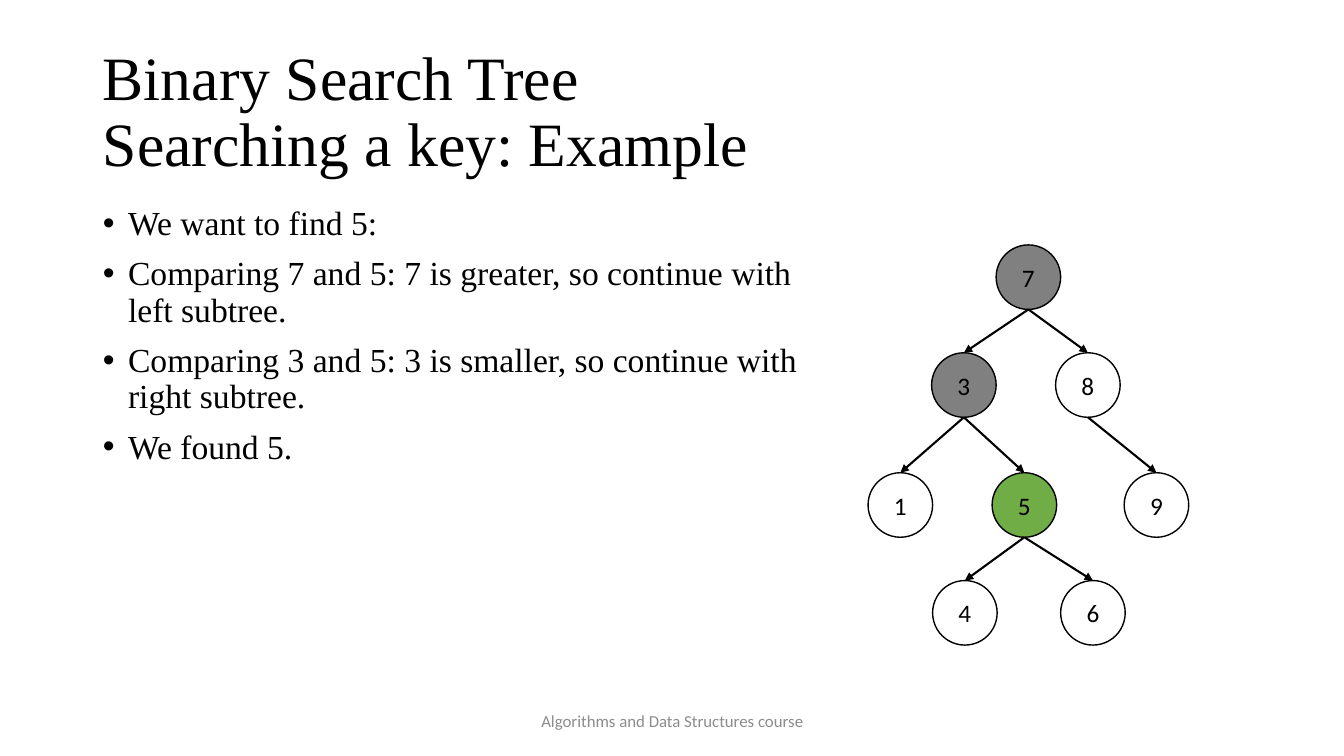
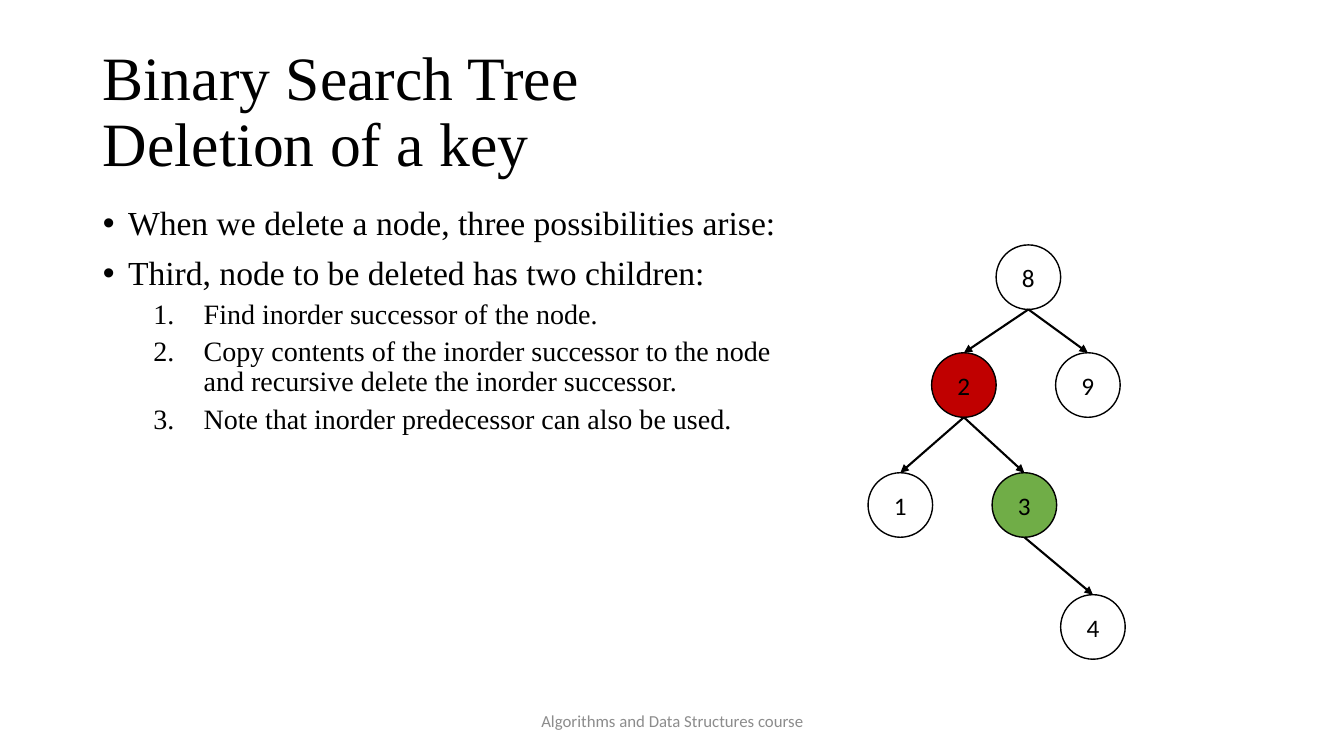
"""Build two slides on searching and deleting keys in a binary search tree."""
from dataclasses import dataclass

from lxml import etree
from pptx import Presentation
from pptx.dml.color import RGBColor
from pptx.enum.shapes import MSO_CONNECTOR, MSO_SHAPE
from pptx.enum.text import MSO_ANCHOR, MSO_AUTO_SIZE, PP_ALIGN
from pptx.oxml.ns import qn
from pptx.util import Inches, Pt

STRAIGHT = MSO_CONNECTOR.STRAIGHT
OVAL = MSO_SHAPE.OVAL
TOP, MIDDLE = MSO_ANCHOR.TOP, MSO_ANCHOR.MIDDLE
LEFT, CENTER = PP_ALIGN.LEFT, PP_ALIGN.CENTER
NO_AUTOFIT = MSO_AUTO_SIZE.NONE

COLORS = {
    "ink": "000000",
    "footer": "8C8C8C",
    "plain": "FFFFFF",
    "visited": "808080",
    "found": "70AD47",
    "deleted": "C00000",
}
SERIF, SANS = "Times New Roman", "Calibri"
TOPIC = "Binary Search Tree"
COURSE = "Algorithms and Data Structures course"
DIAMETER = 0.64
NODE_LEFT = {
    "": 9.88, "L": 9.24, "R": 10.47, "LL": 8.61, "LR": 9.84, "RR": 11.15,
    "LRL": 9.25, "LRR": 10.52,
}
LEVEL_TOP = (2.43, 3.5, 4.69, 5.76)


@dataclass(frozen=True)
class Node:
    """A tree node, placed by its branch of left and right turns."""
    branch: str
    key: int
    state: str = "plain"
    drop: float = 0

    @property
    def left(self) -> float:
        return NODE_LEFT[self.branch]

    @property
    def top(self) -> float:
        return LEVEL_TOP[len(self.branch)] + self.drop

    @property
    def middle(self) -> float:
        return self.left + DIAMETER / 2


@dataclass(frozen=True)
class ListStyle:
    """The look of one list level."""
    size: int
    indent: float
    hanging: float
    space_before: int
    marker: str
    marker_font: str
    marker_value: dict[str, str]


@dataclass(frozen=True)
class Point:
    """One line of the list."""
    text: str
    level: int = 0


@dataclass(frozen=True)
class Lesson:
    """The content of one slide."""
    subtitle: str
    list_width: float
    points: tuple[Point, ...]
    nodes: tuple[Node, ...]


LIST_STYLES = (
    ListStyle(24, 0.25, 0.25, 10, "a:buChar", "Arial", {"char": "•"}),
    ListStyle(20, 1, 0.5, 5, "a:buAutoNum", SERIF, {"type": "arabicPeriod"}),
)

LESSONS = (
    Lesson(
        "Searching a key: Example",
        7.34,
        (
            Point("We want to find 5:"),
            Point("Comparing 7 and 5: 7 is greater, so continue with left subtree."),
            Point("Comparing 3 and 5: 3 is smaller, so continue with right subtree."),
            Point("We found 5."),
        ),
        (
            Node("", 7, "visited"),
            Node("L", 3, "visited"),
            Node("R", 8),
            Node("LL", 1),
            Node("LR", 5, "found"),
            Node("RR", 9),
            Node("LRL", 4),
            Node("LRR", 6),
        ),
    ),
    Lesson(
        "Deletion of a key",
        6.91,
        (
            Point("When we delete a node, three possibilities arise:"),
            Point("Third, node to be deleted has two children:"),
            Point("Find inorder successor of the node.", 1),
            Point("Copy contents of the inorder successor to the node "
                  "and recursive delete the inorder successor.", 1),
            Point("Note that inorder predecessor can also be used.", 1),
        ),
        (
            Node("", 8),
            Node("L", 2, "deleted"),
            Node("R", 9),
            Node("LL", 1),
            Node("LR", 3, "found"),
            Node("LRR", 4, drop=0.14),
        ),
    ),
)


def color(name: str) -> RGBColor:
    return RGBColor.from_string(COLORS[name])


def place(shape, left: float, top: float, width: float, height: float) -> None:
    shape.left, shape.top = Inches(left), Inches(top)
    shape.width, shape.height = Inches(width), Inches(height)


def set_frame(frame, anchor) -> None:
    frame.word_wrap = True
    frame.auto_size = NO_AUTOFIT
    frame.vertical_anchor = anchor


def set_paragraph(paragraph, font: str, size: int, ink: str, align) -> None:
    paragraph.alignment = align
    paragraph.font.name = font
    paragraph.font.size = Pt(size)
    paragraph.font.color.rgb = color(ink)


def add_title(slide, subtitle: str) -> None:
    title = slide.shapes.title
    place(title, 0.92, 0.4, 11.5, 1.45)
    set_frame(title.text_frame, MIDDLE)
    heading = title.text_frame.paragraphs[0]
    heading.text = f"{TOPIC}\n{subtitle}"
    heading.line_spacing = 0.9
    set_paragraph(heading, SERIF, 44, "ink", LEFT)


def set_marker(paragraph, style: ListStyle) -> None:
    properties = paragraph._p.get_or_add_pPr()
    properties.set("marL", str(Inches(style.indent)))
    properties.set("indent", str(-Inches(style.hanging)))
    etree.SubElement(properties, qn("a:buFont"), typeface=style.marker_font)
    etree.SubElement(properties, qn(style.marker), style.marker_value)


def add_points(slide, points: tuple[Point, ...], width: float) -> None:
    body = slide.placeholders[1]
    place(body, 0.92, 2, width, 4.76)
    frame = body.text_frame
    set_frame(frame, TOP)
    for index, point in enumerate(points):
        line = frame.add_paragraph() if index else frame.paragraphs[0]
        style = LIST_STYLES[point.level]
        line.text = point.text
        line.level = point.level
        set_marker(line, style)
        line.line_spacing = 0.9
        line.space_before = Pt(style.space_before)
        line.space_after = Pt(0)
        set_paragraph(line, SERIF, style.size, "ink", LEFT)


def add_footer(slide) -> None:
    footer = slide.shapes.add_textbox(
        Inches(4.42), Inches(6.95), Inches(4.5), Inches(0.4))
    set_frame(footer.text_frame, MIDDLE)
    course = footer.text_frame.paragraphs[0]
    course.text = COURSE
    set_paragraph(course, SANS, 12, "footer", CENTER)


def add_node(slide, node: Node) -> None:
    circle = slide.shapes.add_shape(
        OVAL, Inches(node.left), Inches(node.top), Inches(DIAMETER), Inches(DIAMETER))
    circle.shadow.inherit = False
    circle.fill.solid()
    circle.fill.fore_color.rgb = color(node.state)
    circle.line.color.rgb = color("ink")
    circle.line.width = Pt(1)
    frame = circle.text_frame
    set_frame(frame, MIDDLE)
    frame.margin_left = frame.margin_right = 0
    key = frame.paragraphs[0]
    key.text = str(node.key)
    set_paragraph(key, SANS, 18, "ink", CENTER)


def add_edge(slide, parent: Node, child: Node) -> None:
    edge = slide.shapes.add_connector(
        STRAIGHT, Inches(parent.middle), Inches(parent.top + DIAMETER),
        Inches(child.middle), Inches(child.top))
    edge.line.color.rgb = color("ink")
    edge.line.width = Pt(1.5)
    etree.SubElement(edge.line._get_or_add_ln(), qn("a:tailEnd"), type="triangle")
    etree.SubElement(edge._element.spPr, qn("a:effectLst"))


def add_tree(slide, nodes: tuple[Node, ...]) -> None:
    by_branch = {node.branch: node for node in nodes}
    for node in nodes:
        add_node(slide, node)
    for child in nodes:
        if child.branch:
            add_edge(slide, by_branch[child.branch[:-1]], child)


def main() -> None:
    deck = Presentation()
    deck.slide_width, deck.slide_height = Inches(13.33), Inches(7.5)
    for lesson in LESSONS:
        slide = deck.slides.add_slide(deck.slide_layouts[1])
        add_title(slide, lesson.subtitle)
        add_points(slide, lesson.points, lesson.list_width)
        add_footer(slide)
        add_tree(slide, lesson.nodes)
    deck.save("out.pptx")


if __name__ == "__main__":
    main()
